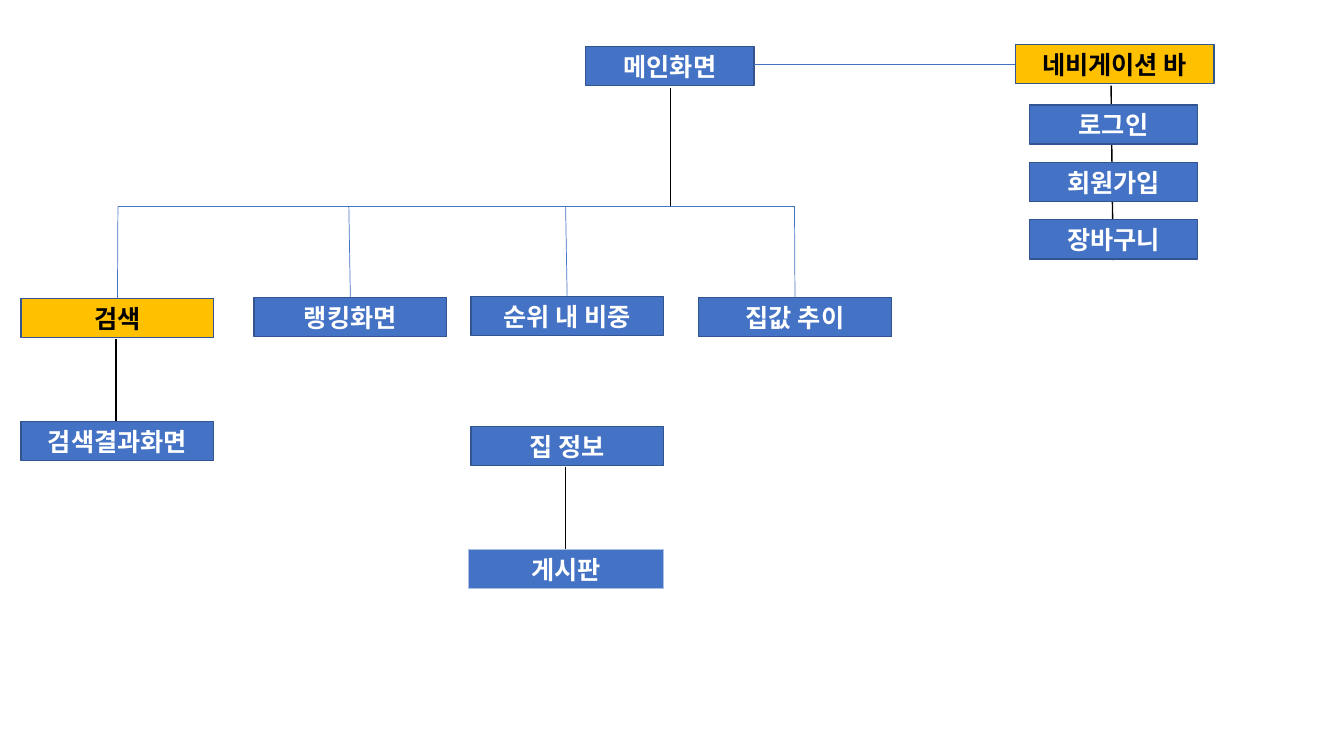
from dataclasses import dataclass

from lxml import etree
from pptx import Presentation
from pptx.dml.color import RGBColor
from pptx.enum.shapes import MSO_CONNECTOR, MSO_SHAPE
from pptx.enum.text import MSO_ANCHOR, PP_ALIGN
from pptx.oxml.ns import qn
from pptx.util import Inches, Pt

RECTANGLE = MSO_SHAPE.RECTANGLE
STRAIGHT = MSO_CONNECTOR.STRAIGHT
MIDDLE = MSO_ANCHOR.MIDDLE
CENTER = PP_ALIGN.CENTER


@dataclass(frozen=True)
class Theme:
    font: str = "Noto Sans CJK KR"
    text_size: float = 18
    blue: str = "4472C4"
    gold: str = "FFC000"
    border: str = "325491"
    pale_border: str = "ABC0E4"
    white: str = "FFFFFF"
    black: str = "000000"
    thin: float = 0.5
    regular: float = 1


def write_text(text_frame, text, *, font, size, color, bold=True, align=CENTER):
    paragraph = text_frame.paragraphs[0]
    paragraph.alignment = align
    run = paragraph.add_run()
    run.text = text
    run.font.size = Pt(size)
    run.font.bold = bold
    run.font.color.rgb = RGBColor.from_string(color)
    run.font.name = font
    properties = run.font._element
    east_asian = etree.SubElement(properties, qn("a:ea"))
    east_asian.set("typeface", font)


class SitemapSlide:
    def __init__(self, slide, theme):
        self.slide = slide
        self.theme = theme

    def box(self, text, left, top, width, highlight=False, border=None, height=0.39):
        theme = self.theme
        shape = self.slide.shapes.add_shape(
            RECTANGLE, Inches(left), Inches(top), Inches(width), Inches(height)
        )
        shape.shadow.inherit = False
        shape.fill.solid()
        shape.fill.fore_color.rgb = RGBColor.from_string(
            theme.gold if highlight else theme.blue
        )
        shape.line.color.rgb = RGBColor.from_string(border or theme.border)
        shape.line.width = Pt(theme.regular)
        text_frame = shape.text_frame
        text_frame.word_wrap = True
        text_frame.vertical_anchor = MIDDLE
        write_text(
            text_frame,
            text,
            font=theme.font,
            size=theme.text_size,
            color=theme.black if highlight else theme.white,
        )

    def line(self, start, end, color, width):
        connector = self.slide.shapes.add_connector(
            STRAIGHT, *(Inches(value) for value in (*start, *end))
        )
        connector.line.color.rgb = RGBColor.from_string(color)
        connector.line.width = Pt(width)
        etree.SubElement(connector._element.spPr, qn("a:effectLst"))

    def trunk(self, start, end):
        self.line(start, end, self.theme.black, self.theme.regular)

    def branch(self, start, end):
        self.line(start, end, self.theme.blue, self.theme.thin)


presentation = Presentation()
presentation.slide_width = Inches(13.33)
presentation.slide_height = Inches(7.5)
theme = Theme()
sitemap = SitemapSlide(
    presentation.slides.add_slide(presentation.slide_layouts[6]), theme
)

MENU_WIDTH = 1.67
SCREEN_WIDTH = 1.91
BUS_TOP = 2.05

sitemap.trunk((11.04, 2.58), (11.02, 0.85))
sitemap.box("메인화면", 5.81, 0.46, MENU_WIDTH)
sitemap.box("네비게이션 바", 10.07, 0.44, 1.97, highlight=True)
sitemap.branch((7.48, 0.64), (10.07, 0.64))
for index, label in enumerate(("로그인", "회원가입", "장바구니")):
    sitemap.box(label, 10.21, 1.04 + 0.57 * index, MENU_WIDTH)

sitemap.trunk((6.65, 0.87), (6.65, BUS_TOP))
sitemap.branch((1.17, BUS_TOP), (7.89, BUS_TOP))

screens = (
    ("검색", 0.21, 2.96, 1.17),
    ("랭킹화면", 2.52, 2.95, 3.46),
    ("순위 내 비중", 4.67, 2.94, 5.61),
    ("집값 추이", 6.93, 2.95, 7.88),
)
for label, left, top, joint in screens:
    sitemap.box(label, left, top, SCREEN_WIDTH, highlight=label == "검색")
    sitemap.branch((joint, BUS_TOP), (left + SCREEN_WIDTH / 2, top))

sitemap.box("검색결과화면", 0.21, 4.18, SCREEN_WIDTH)
sitemap.trunk((1.15, 3.36), (1.15, 4.18))

sitemap.box("집 정보", 4.67, 4.23, SCREEN_WIDTH)
sitemap.box("게시판", 4.65, 5.45, 1.93, border=theme.pale_border)
sitemap.trunk((5.61, 4.63), (5.61, 5.45))

presentation.save("out.pptx")
